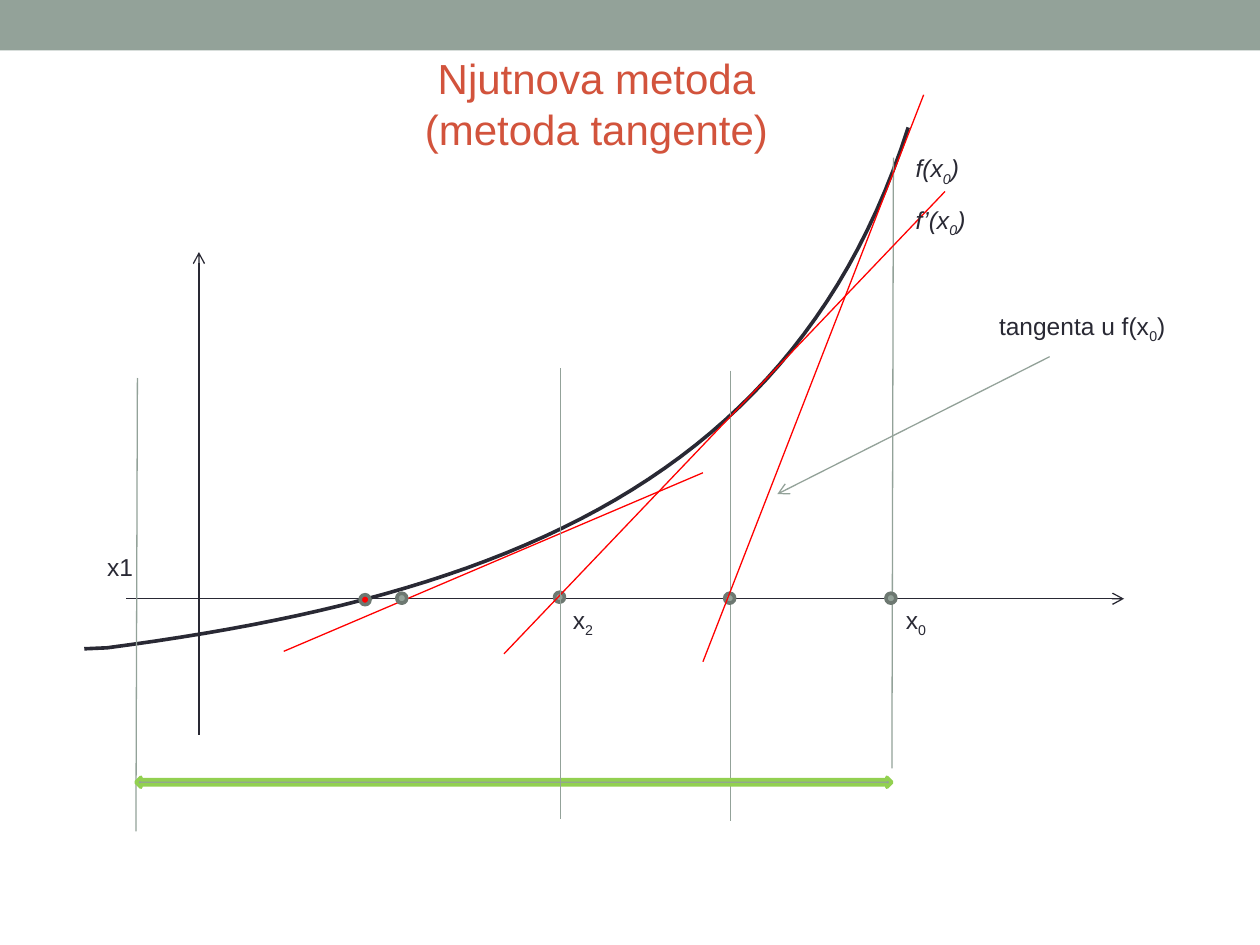
from dataclasses import dataclass

from lxml.etree import SubElement
from pptx import Presentation
from pptx.dml.color import RGBColor
from pptx.enum.shapes import MSO_CONNECTOR, MSO_SHAPE
from pptx.enum.text import MSO_AUTO_SIZE, PP_ALIGN
from pptx.oxml.ns import qn
from pptx.util import Cm, Pt


@dataclass(frozen=True)
class Theme:
    font: str = "Arial"
    ink: str = "292934"
    sage: str = "93A299"
    moss: str = "6D7871"
    lime: str = "92D050"
    red: str = "FF0000"
    rust: str = "D2533C"
    head: int = 24
    body: int = 14
    thin: float = 0.75
    bold: float = 2.08


THEME = Theme()


def color(code):
    return RGBColor.from_string(code)


def stroke(line, code, width):
    line.color.rgb = color(code)
    line.width = Pt(width)


def add_run(para, words, size, code, italic, low=False):
    run = para.add_run()
    run.text = words
    font = run.font
    font.name, font.size, font.italic = THEME.font, Pt(size), italic
    font.color.rgb = color(code)
    if low:
        run._r.get_or_add_rPr().set("baseline", "-25000")


def add_text(slide, text, left, top, width, height=0.86, size=THEME.body,
             code=THEME.ink, italic=None, align=None, wrap=False):
    box = slide.shapes.add_textbox(Cm(left), Cm(top), Cm(width), Cm(height))
    frame = box.text_frame
    frame.word_wrap = wrap
    frame.auto_size = MSO_AUTO_SIZE.SHAPE_TO_FIT_TEXT
    para = frame.paragraphs[0]
    para.alignment = align
    for row, line in enumerate(text.split("\n")):
        if row:
            para.add_line_break()
        base, mark, rest = line.partition("_")
        add_run(para, base, size, code, italic)
        if mark:
            add_run(para, rest[0], size, code, italic, low=True)
        if rest[1:]:
            add_run(para, rest[1:], size, code, italic)


def add_line(slide, ends, code, arrow=False):
    line = slide.shapes.add_connector(MSO_CONNECTOR.STRAIGHT, *map(Cm, ends))
    stroke(line.line, code, THEME.thin)
    if arrow:
        SubElement(line.line._get_or_add_ln(), qn("a:tailEnd"), type="arrow")
    SubElement(line._element.spPr, qn("a:effectLst"))


def add_form(slide, kind, left, top, width, height, fill, edge=None):
    form = slide.shapes.add_shape(kind, Cm(left), Cm(top), Cm(width), Cm(height))
    form.shadow.inherit = False
    form.fill.solid()
    form.fill.fore_color.rgb = color(fill)
    if edge:
        stroke(form.line, edge, THEME.bold)
    else:
        form.line.fill.background()


def bezier(knots, steps=48):
    for step in range(steps + 1):
        t = step / steps
        u = 1 - t
        parts = (u ** 3, 3 * u * u * t, 3 * u * t * t, t ** 3)
        yield tuple(Cm(sum(p * k for p, k in zip(parts, axis)))
                    for axis in zip(*knots))


def add_curve(slide, start, knots):
    build = slide.shapes.build_freeform(*map(Cm, start), scale=1.0)
    build.add_line_segments(list(bezier(knots)), close=False)
    curve = build.convert_to_shape()
    curve.shadow.inherit = False
    curve.fill.background()
    stroke(curve.line, THEME.ink, THEME.bold)


def main():
    deck = Presentation()
    deck.slide_width, deck.slide_height = Cm(25.4), Cm(19.05)
    slide = deck.slides.add_slide(deck.slide_layouts[6])

    add_form(slide, MSO_SHAPE.RECTANGLE, 0, 0, 25.4, 1.02, THEME.sage)
    add_text(slide, "Njutnova metoda\n(metoda tangente)", 2.18, 0.94, 19.69, 2.29,
             size=THEME.head, code=THEME.rust, align=PP_ALIGN.CENTER, wrap=True)

    for axis in ((2.54, 12.07, 22.66, 12.07), (4.01, 14.81, 4.01, 5.08)):
        add_line(slide, axis, THEME.ink, arrow=True)
    add_curve(slide, (1.7, 13.08),
              ((2.16, 13.06), (10.21, 12.01), (16.05, 9.65), (18.31, 2.57)))

    for guide in ((2.77, 7.62, 2.74, 16.76), (18.01, 3.18, 17.98, 15.49),
                  (14.73, 7.47, 14.73, 16.56)):
        add_line(slide, guide, THEME.sage)
    add_form(slide, MSO_SHAPE.LEFT_RIGHT_ARROW, 2.74, 15.67, 15.24, 0.2,
             THEME.sage, THEME.lime)
    add_line(slide, (21.16, 7.19, 15.67, 9.96), THEME.sage, arrow=True)

    add_line(slide, (5.72, 13.13, 14.17, 9.53), THEME.red)
    for left, top, fill in ((17.86, 11.96, THEME.sage), (8, 11.96, THEME.sage),
                            (7.26, 11.99, THEME.red), (11.18, 11.94, THEME.sage),
                            (14.61, 11.96, THEME.sage)):
        add_form(slide, MSO_SHAPE.OVAL, left, top, 0.2, 0.2, fill, THEME.moss)
    for tangent in ((14.17, 13.34, 18.62, 1.91), (10.16, 13.18, 19.05, 3.86)):
        add_line(slide, tangent, THEME.red)
    add_line(slide, (11.3, 7.42, 11.3, 16.51), THEME.sage)

    for text, left, top, width, italic in (
            ("x1", 1.91, 11, 1.04, None),
            ("x_0", 18.01, 12.07, 0.94, None),
            ("x_2", 11.3, 12.07, 0.94, None),
            ("f(x_0)", 18.21, 2.97, 1.42, True),
            ("f’(x_0)", 18.21, 4.01, 1.55, True),
            ("tangenta u f(x_0)", 19.89, 6.15, 3.91, None)):
        add_text(slide, text, left, top, width, italic=italic)

    deck.save("out.pptx")


if __name__ == "__main__":
    main()
